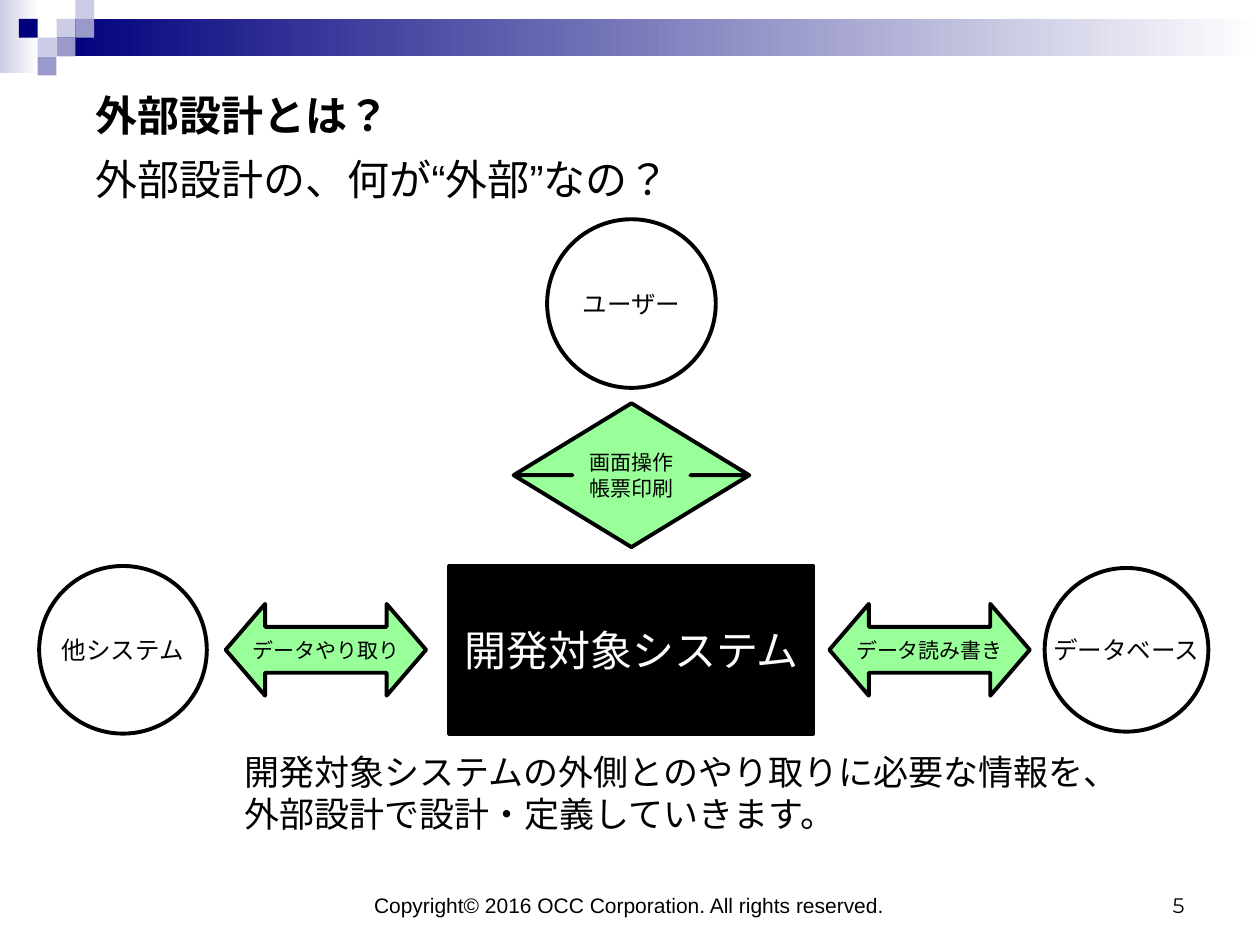
from lxml import etree
from pptx import Presentation
from pptx import util as u
from pptx.dml.color import RGBColor
from pptx.enum import lang, shapes, text
from pptx.oxml.ns import qn

KIND = shapes.MSO_SHAPE
ALIGN = text.PP_ALIGN
ANCHOR = text.MSO_ANCHOR
FIT = text.MSO_AUTO_SIZE
BLACK, WHITE, GREEN = "000000", "FFFFFF", "99FF99"
NAVY, MID, PALE = "00007D", "9999CC", "CCCCE6"


def color(code):
    return RGBColor.from_string(code)


def style_run(run, size, ink, font, bold):
    run.font.size = u.Pt(size)
    run.font.bold = bold
    run.font.color.rgb = color(ink)
    run.font.name = font
    run.font.language_id = lang.MSO_LANGUAGE_ID.JAPANESE
    east = etree.SubElement(run._r.get_or_add_rPr(), qn("a:ea"))
    east.set("typeface", font)


def write(shape, words, size, ink=BLACK, align=ALIGN.LEFT,
          anchor=ANCHOR.TOP, font="Arial", bold=False, wrap=False):
    frame = shape.text_frame
    frame.text = words
    frame.word_wrap = wrap
    frame.vertical_anchor = anchor
    for para in frame.paragraphs:
        para.alignment = align
        for run in para.runs:
            style_run(run, size, ink, font, bold)


def shape_at(slide, kind, x, y, w, h):
    shape = slide.shapes.add_shape(kind, u.Cm(x), u.Cm(y), u.Cm(w), u.Cm(h))
    shape.shadow.inherit = False
    return shape


def label(slide, words, x, y, w, h, size, wrap=False, **style):
    box = slide.shapes.add_textbox(u.Cm(x), u.Cm(y), u.Cm(w), u.Cm(h))
    write(box, words, size, wrap=wrap, **style)
    box.text_frame.auto_size = FIT.NONE if wrap else FIT.SHAPE_TO_FIT_TEXT


def node(slide, kind, words, mid, w, h, size, fill, ink=BLACK, adjust=()):
    shape = shape_at(slide, kind, mid[0] - w / 2, mid[1] - h / 2, w, h)
    for i, value in enumerate(adjust):
        shape.adjustments[i] = value
    shape.fill.solid()
    shape.fill.fore_color.rgb = color(fill)
    shape.line.color.rgb = color(BLACK)
    shape.line.width = u.Pt(2.25)
    write(shape, words, size, ink, ALIGN.CENTER, ANCHOR.MIDDLE)


def fade(slide, x, y, w, h, start):
    shape = shape_at(slide, KIND.RECTANGLE, x, y, w, h)
    shape.line.fill.background()
    shape.fill.gradient()
    shape.fill.gradient_angle = 0
    for stop, code in zip(shape.fill.gradient_stops, (start, WHITE)):
        stop.color.rgb = color(code)


def header(slide):
    side = 0.38
    fade(slide, 0, 0, 0.79, 1.47, PALE)
    fade(slide, 3 * side, side, 24.26, 2 * side, NAVY)
    tiles = [(3, 1, PALE), (4, 0, PALE), (4, 1, MID), (2, 2, PALE),
             (1, 1, NAVY), (3, 2, MID), (2, 3, MID)]
    for col, row, code in tiles:
        tile = shape_at(slide, KIND.RECTANGLE, col * side, row * side, side, side)
        tile.line.fill.background()
        tile.fill.solid()
        tile.fill.fore_color.rgb = color(code)


def diagram(slide):
    axis, level = 12.73, 13.1
    node(slide, KIND.RECTANGLE, "開発対象システム", (axis, level),
         7.34, 3.38, 24, BLACK, WHITE)
    node(slide, KIND.UP_DOWN_ARROW, "画面操作\n帳票印刷", (axis, 9.58),
         4.75, 2.9, 12, GREEN, adjust=(0.2, 0.5))
    for words, x in (("データやり取り", 6.57), ("データ読み書き", 18.74)):
        node(slide, KIND.LEFT_RIGHT_ARROW, words, (x, level),
             4.04, 1.85, 12, GREEN, adjust=(0.5, 0.43))
    for words, x, y, size in (("ユーザー", axis, 6.12, 3.4),
                              ("他システム", 2.48, level, 3.38),
                              ("データベース", 22.71, level, 3.3)):
        node(slide, KIND.OVAL, words, (x, y), size, size, 14, WHITE)


def main():
    deck = Presentation()
    deck.slide_width, deck.slide_height = u.Cm(25.4), u.Cm(19.05)
    slide = deck.slides.add_slide(deck.slide_layouts[6])
    header(slide)
    label(slide, "外部設計とは？", 1.68, 1.68, 6.43, 1.27, 24, bold=True)
    label(slide, "外部設計の、何が“外部”なの？", 1.68, 2.97, 12.32, 1.27, 24)
    diagram(slide)
    label(slide, "開発対象システムの外側とのやり取りに必要な情報を、\n"
          "外部設計で設計・定義していきます。", 4.67, 15.01, 18.19, 1.96, 20)
    label(slide, "Copyright© 2016 OCC Corporation. All rights reserved.",
          5.99, 17.35, 13.39, 1.27, 12,
          align=ALIGN.CENTER, anchor=ANCHOR.BOTTOM, wrap=True)
    label(slide, "5", 18.21, 17.35, 5.92, 1.27, 12, font="Montserrat",
          align=ALIGN.RIGHT, anchor=ANCHOR.BOTTOM, wrap=True)
    deck.save("out.pptx")


if __name__ == "__main__":
    main()
